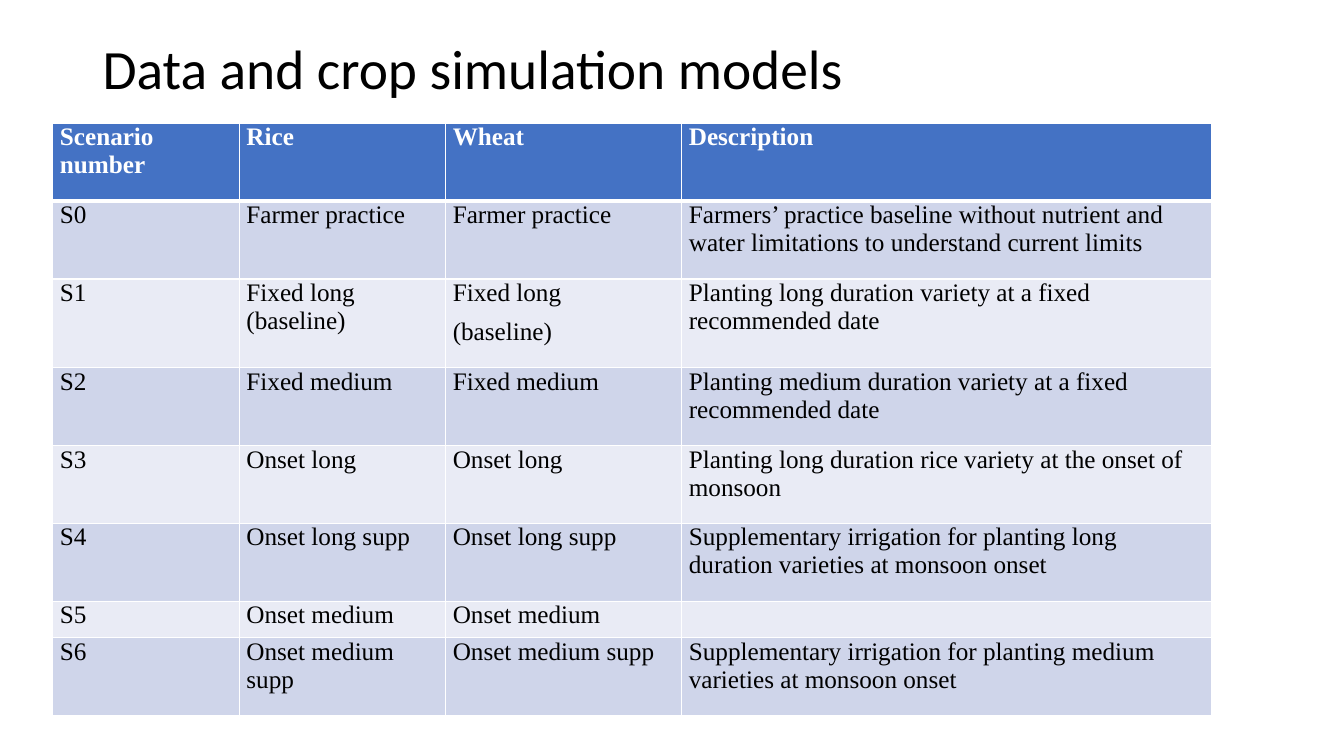
import pptx
import pptx.dml.color
import pptx.enum.text
import pptx.oxml
import pptx.oxml.ns
import pptx.util

Cm = pptx.util.Cm
Pt = pptx.util.Pt

SCENARIOS = [
    ("Scenario number", "Rice", "Wheat", "Description"),
    ("S0", "Farmer practice", "Farmer practice",
     "Farmers’ practice baseline without nutrient and water limitations to understand current limits"),
    ("S1", "Fixed long (baseline)", "Fixed long\n(baseline)",
     "Planting long duration variety at a fixed recommended date"),
    ("S2", "Fixed medium", "Fixed medium",
     "Planting medium duration variety at a fixed recommended date"),
    ("S3", "Onset long", "Onset long",
     "Planting long duration rice variety at the onset of monsoon"),
    ("S4", "Onset long supp", "Onset long supp",
     "Supplementary irrigation for planting long duration varieties at monsoon onset"),
    ("S5", "Onset medium", "Onset medium", ""),
    ("S6", "Onset medium supp", "Onset medium supp",
     "Supplementary irrigation for planting medium varieties at monsoon onset"),
]
COLUMN_WIDTHS = [4.7, 5.2, 5.95, 13.35]
ROW_HEIGHTS = [1.96, 1.96, 2.24, 1.96, 1.96, 1.96, 0.92, 1.96]


def color(value):
    return pptx.dml.color.RGBColor.from_string(value)


def write_text(frame, text, *, font, size, fill="000000", bold=False, space_after=0, line_spacing=1.0):
    for index, line in enumerate(text.split("\n")):
        para = frame.paragraphs[0] if index == 0 else frame.add_paragraph()
        para.alignment = pptx.enum.text.PP_ALIGN.LEFT
        para.line_spacing = line_spacing
        para.space_after = Pt(space_after)
        para.font.size = Pt(size)
        if line:
            span = para.add_run()
            span.text = line
            span.font.name = font
            span.font.size = Pt(size)
            span.font.bold = bold
            span.font.color.rgb = color(fill)


class SlideBuilder:
    title_font = "Calibri"
    table_font = "Times New Roman"
    header_fill = "4472C4"
    band_fills = ("E9EBF5", "CFD5EA")
    border_color = "FFFFFF"

    def __init__(self, deck):
        self.page = deck.slides.add_slide(deck.slide_layouts[5])

    def title(self, text, left, top, width, height):
        box = self.page.shapes.title
        box.left, box.top, box.width, box.height = Cm(left), Cm(top), Cm(width), Cm(height)
        box.text_frame.vertical_anchor = pptx.enum.text.MSO_ANCHOR.MIDDLE
        box.text_frame.auto_size = pptx.enum.text.MSO_AUTO_SIZE.NONE
        write_text(box.text_frame, text, font=self.title_font, size=39.6, line_spacing=0.9)

    def borders(self, cell, top, bottom):
        properties = cell._tc.get_or_add_tcPr()
        for side, points in (("L", 1), ("R", 1), ("T", top), ("B", bottom)):
            properties.append(pptx.oxml.parse_xml(
                f'<a:ln{side} {pptx.oxml.ns.nsdecls("a")} w="{Pt(points)}"><a:solidFill>'
                f'<a:srgbClr val="{self.border_color}"/></a:solidFill></a:ln{side}>'))

    def table(self, rows, widths, heights, left, top):
        frame = self.page.shapes.add_table(
            len(rows), len(widths), Cm(left), Cm(top), Cm(sum(widths)), Cm(sum(heights)))
        grid = frame.table
        for column, width in zip(grid.columns, widths):
            column.width = Cm(width)
        for row_index, (values, height) in enumerate(zip(rows, heights)):
            grid.rows[row_index].height = Cm(height)
            for column_index, value in enumerate(values):
                self.cell(grid.cell(row_index, column_index), value, row_index)

    def cell(self, cell, text, row_index):
        header = row_index == 0
        cell.margin_left = cell.margin_right = Cm(0.18)
        cell.margin_top = cell.margin_bottom = 0
        self.borders(cell, top=3 if row_index == 1 else 1, bottom=3 if header else 1)
        cell.fill.solid()
        cell.fill.fore_color.rgb = color(self.header_fill if header else self.band_fills[row_index % 2])
        write_text(cell.text_frame, text, font=self.table_font, size=18, bold=header,
                   fill="FFFFFF" if header else "000000", space_after=8 if text else 0)


def main():
    deck = pptx.Presentation()
    deck.slide_width, deck.slide_height = Cm(33.87), Cm(19.05)
    builder = SlideBuilder(deck)
    builder.title("Data and crop simulation models", 2.33, 1.01, 29.21, 1.6)
    builder.table(SCENARIOS, COLUMN_WIDTHS, ROW_HEIGHTS, 1.33, 3.11)
    deck.save("out.pptx")


if __name__ == "__main__":
    main()
